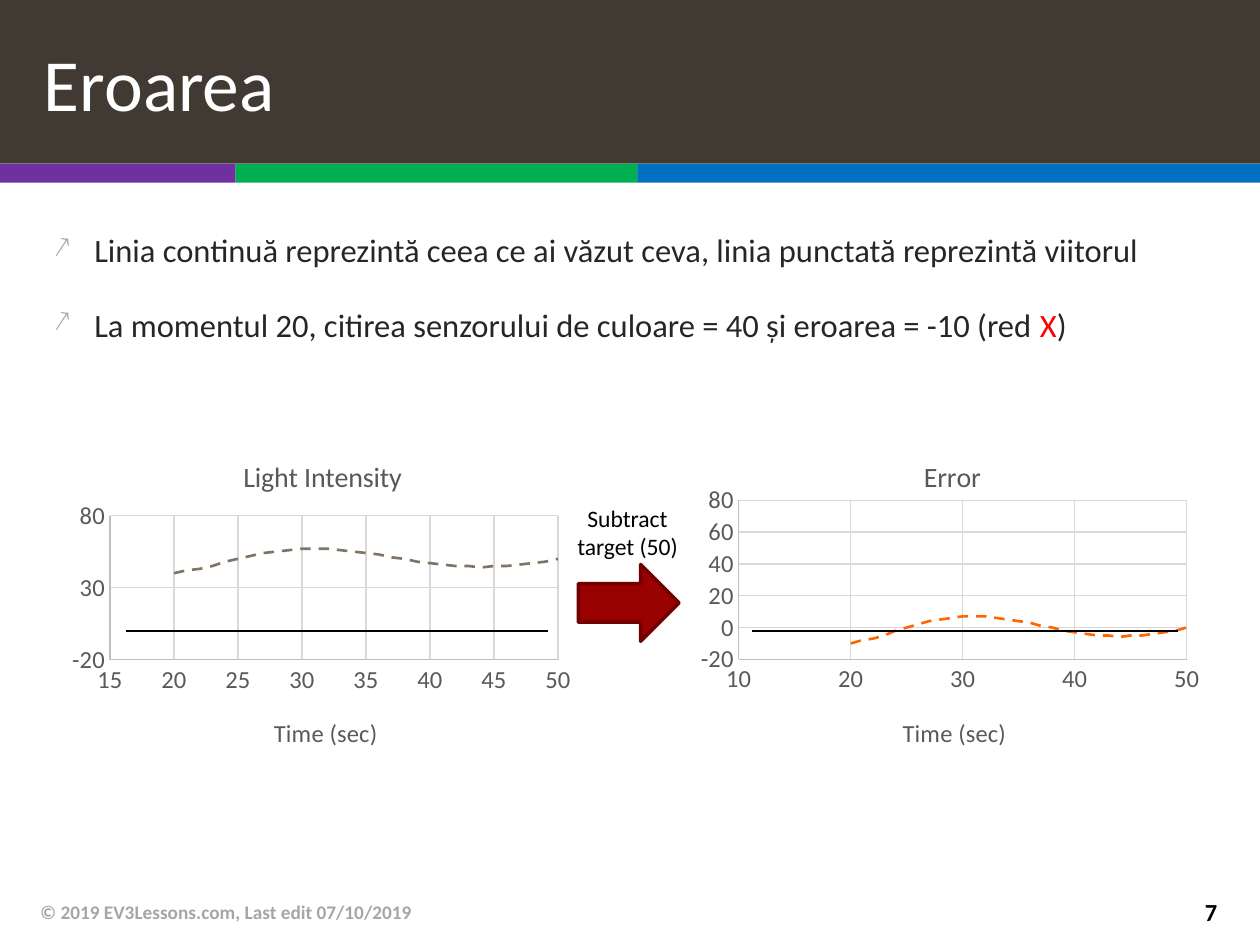
from dataclasses import dataclass

from lxml import etree
from pptx import Presentation, util as u
from pptx.chart import data as chart_data
from pptx.dml.color import RGBColor
from pptx.enum import chart as charts, dml, shapes, text
from pptx.oxml.ns import qn


@dataclass(frozen=True)
class Theme:
    font: str = "Calibri"
    header: str = "413A33"
    bands: tuple = ("7030A0", "00B050", "0070C0")
    white: str = "FFFFFF"
    black: str = "000000"
    body: str = "262626"
    red: str = "FF0000"
    muted: str = "A6A6A6"
    chart_text: str = "595959"
    axis: str = "BFBFBF"
    grid: str = "D9D9D9"
    seen: str = "990000"
    arrow_edge: str = "710000"
    light: str = "827465"
    error: str = "FF6600"
    title_size: float = 42
    body_size: float = 18.6
    chart_title_size: float = 16
    chart_size: float = 14
    label_size: float = 13.5
    footer_size: float = 11
    page_size: float = 14


theme = Theme()
deck = Presentation()
deck.slide_width, deck.slide_height = u.Inches(10), u.Inches(7.5)
page = deck.slides.add_slide(deck.slide_layouts[6])

# Grid of 100 columns by 75 rows
col, row = deck.slide_width / 100, deck.slide_height / 75


def place(left, top, width, height):
    return [round(n) for n in (left * col, top * row, width * col, height * row)]


def add_span(para, words, size, color, bold=False):
    span = para.add_run()
    span.text = words
    span.font.name, span.font.size, span.font.bold = theme.font, u.Pt(size), bold
    span.font.color.rgb = RGBColor.from_string(color)


# Header and coloured bands
edges = (0, 18.7, 50.6, 100)
blocks = [(0, 0, 100, 13, theme.header)]
blocks += [(a, 13, b - a, 1.5, color)
           for a, b, color in zip(edges, edges[1:], theme.bands)]
for *area, color in blocks:
    box = page.shapes.add_shape(shapes.MSO_SHAPE.RECTANGLE, *place(*area))
    box.shadow.inherit = False
    box.fill.solid()
    box.fill.fore_color.rgb = RGBColor.from_string(color)
    box.line.fill.background()

# Title, footer and page number
left, center, right = text.PP_ALIGN.LEFT, text.PP_ALIGN.CENTER, text.PP_ALIGN.RIGHT
for area, words, size, color, bold, align in (
    ((2.5, 0, 97.5, 13), "Eroarea", theme.title_size, theme.white, False, left),
    ((2.2, 70.4, 67, 4), "© 2019 EV3Lessons.com, Last edit 07/10/2019",
     theme.footer_size, theme.muted, True, left),
    ((90.7, 70.4, 6.9, 3.9), "7", theme.page_size, theme.black, True, right),
):
    box = page.shapes.add_textbox(*place(*area))
    box.text_frame.word_wrap = True
    box.text_frame.vertical_anchor = text.MSO_ANCHOR.MIDDLE
    para = box.text_frame.paragraphs[0]
    para.alignment = align
    add_span(para, words, size, color, bold)

# Bullets
bullets = (
    [("Linia continuă reprezintă ceea ce ai văzut ceva, linia punctată reprezintă viitorul",
      theme.body)],
    [("La momentul 20, citirea senzorului de culoare = 40 și eroarea = -10 (red ", theme.body),
     ("X", theme.red), (")", theme.body)],
)
frame = page.shapes.add_textbox(*place(3.3, 17.8, 94.4, 11.3)).text_frame
frame.word_wrap = True
for number, spans in enumerate(bullets):
    para = frame.add_paragraph() if number else frame.paragraphs[0]
    if number:
        para.space_before = u.Pt(20)
    props = para._p.get_or_add_pPr()
    props.set("marL", str(u.Inches(0.32)))
    props.set("indent", str(-u.Inches(0.32)))
    color = etree.SubElement(props, qn("a:buClr"))
    etree.SubElement(color, qn("a:srgbClr"), val=theme.muted)
    etree.SubElement(props, qn("a:buSzPct"), val="90000")
    etree.SubElement(props, qn("a:buChar"), char="↗")
    for words, shade in spans:
        add_span(para, words, theme.body_size, shade)

# Light readings; the error is each reading less the target
target = 50
seen = [50, 57, 62, 66, 68, 69, 69, 67, 65, 62, 59, 55, 52, 49, 46, 43, 41, 40, 40, 40, 40]
future = [40, 42, 43, 45, 48, 50, 52, 54, 55, 56, 57, 57, 57, 56, 55, 54, 53, 51, 50, 48, 47,
          46, 45, 45, 44, 45, 45, 46, 47, 48, 50]

# Charts: title, left, offset, future colour, x start, x step, y step, title x, plot top, height
for name, start, offset, color, low, x_step, y_step, title_x, top, height in (
    ("Error", 54.8, target, theme.error, 10, 10, 20, 0.44, 0.215, 0.468),
    ("Light Intensity", 4.9, 0, theme.light, 15, 5, 50, 0.34, 0.26, 0.424),
):
    values = chart_data.XyChartData()
    for label, first, readings in (("Series 1", 0, seen), ("Series 2", 20, future)):
        series = values.add_series(label)
        for time, reading in enumerate(readings, first):
            series.add_data_point(time, reading - offset)
    chart = page.shapes.add_chart(charts.XL_CHART_TYPE.XY_SCATTER_SMOOTH_NO_MARKERS,
                                  *place(start, 33.9, 41.2, 27), values).chart
    chart.has_legend = False
    chart.font.name, chart.font.size = theme.font, u.Pt(theme.chart_size)
    chart.font.color.rgb = RGBColor.from_string(theme.chart_text)
    chart.plots[0].vary_by_categories = False
    chart.has_title = True
    add_span(chart.chart_title.text_frame.paragraphs[0], name,
             theme.chart_title_size, theme.chart_text)

    for axis, least, most, step in ((chart.category_axis, low, 50, x_step),
                                    (chart.value_axis, -20, 80, y_step)):
        axis.minimum_scale, axis.maximum_scale, axis.major_unit = least, most, step
        axis.crosses = charts.XL_AXIS_CROSSES.MINIMUM
        axis.major_tick_mark = axis.minor_tick_mark = charts.XL_TICK_MARK.NONE
        axis.has_major_gridlines = True
        for line, shade in ((axis.format.line, theme.axis),
                            (axis.major_gridlines.format.line, theme.grid)):
            line.color.rgb, line.width = RGBColor.from_string(shade), u.Pt(0.75)
    add_span(chart.category_axis.axis_title.text_frame.paragraphs[0], "Time (sec)",
             theme.chart_size, theme.chart_text)

    for series, shade, dash in zip(chart.plots[0].series, (theme.seen, color),
                                   (dml.MSO_LINE.SOLID, dml.MSO_LINE.DASH)):
        series.smooth = True
        series.marker.style = charts.XL_MARKER_STYLE.NONE
        line = series.format.line
        line.color.rgb, line.width, line.dash_style = RGBColor.from_string(shade), u.Pt(1.5), dash

    # Fixed places for the titles and the plot, as shares of the chart
    for where, index, sizes in (
        ("c:chart/c:title", 1, {"x": title_x, "y": 0.075}),
        ("c:chart/c:plotArea/c:valAx[1]/c:title", 1, {"x": 0.4, "y": 0.835}),
        ("c:chart/c:plotArea", 0, {"x": 0.093, "y": top, "w": 0.863, "h": height}),
    ):
        part = chart.element.xpath(where)[0]
        for old in part.findall(qn("c:layout")):
            part.remove(old)
        layout = etree.Element(qn("c:layout"))
        part.insert(index, layout)
        manual = etree.SubElement(layout, qn("c:manualLayout"))
        if "w" in sizes:
            etree.SubElement(manual, qn("c:layoutTarget"), val="inner")
        for key in ("x", "y"):
            etree.SubElement(manual, qn(f"c:{key}Mode"), val="edge")
        for key, share in sizes.items():
            etree.SubElement(manual, qn(f"c:{key}"), val=str(share))

# Arrow between the charts, with its label
arrow = page.shapes.add_shape(shapes.MSO_SHAPE.RIGHT_ARROW, *place(45.9, 44.8, 8, 6.1))
arrow.shadow.inherit = False
arrow.fill.solid()
arrow.fill.fore_color.rgb = RGBColor.from_string(theme.seen)
arrow.line.color.rgb, arrow.line.width = RGBColor.from_string(theme.arrow_edge), u.Pt(2)

box = page.shapes.add_textbox(*place(44.7, 39.5, 10.2, 5.6))
box.text_frame.word_wrap = False
para = box.text_frame.paragraphs[0]
para.alignment = center
add_span(para, "Subtract", theme.label_size, theme.black)
para.add_line_break()
add_span(para, "target (50)", theme.label_size, theme.black)

# Zero lines
for begin, end in ((59.7, 93.5), (10, 43.5)):
    x, y, width, _ = place(begin, 50.1, end - begin, 0)
    line = page.shapes.add_connector(shapes.MSO_CONNECTOR.STRAIGHT, x, y, x + width, y)
    line.line.color.rgb, line.line.width = RGBColor.from_string(theme.black), u.Pt(1)
    etree.SubElement(line._element.spPr, qn("a:effectLst"))

deck.save("out.pptx")
